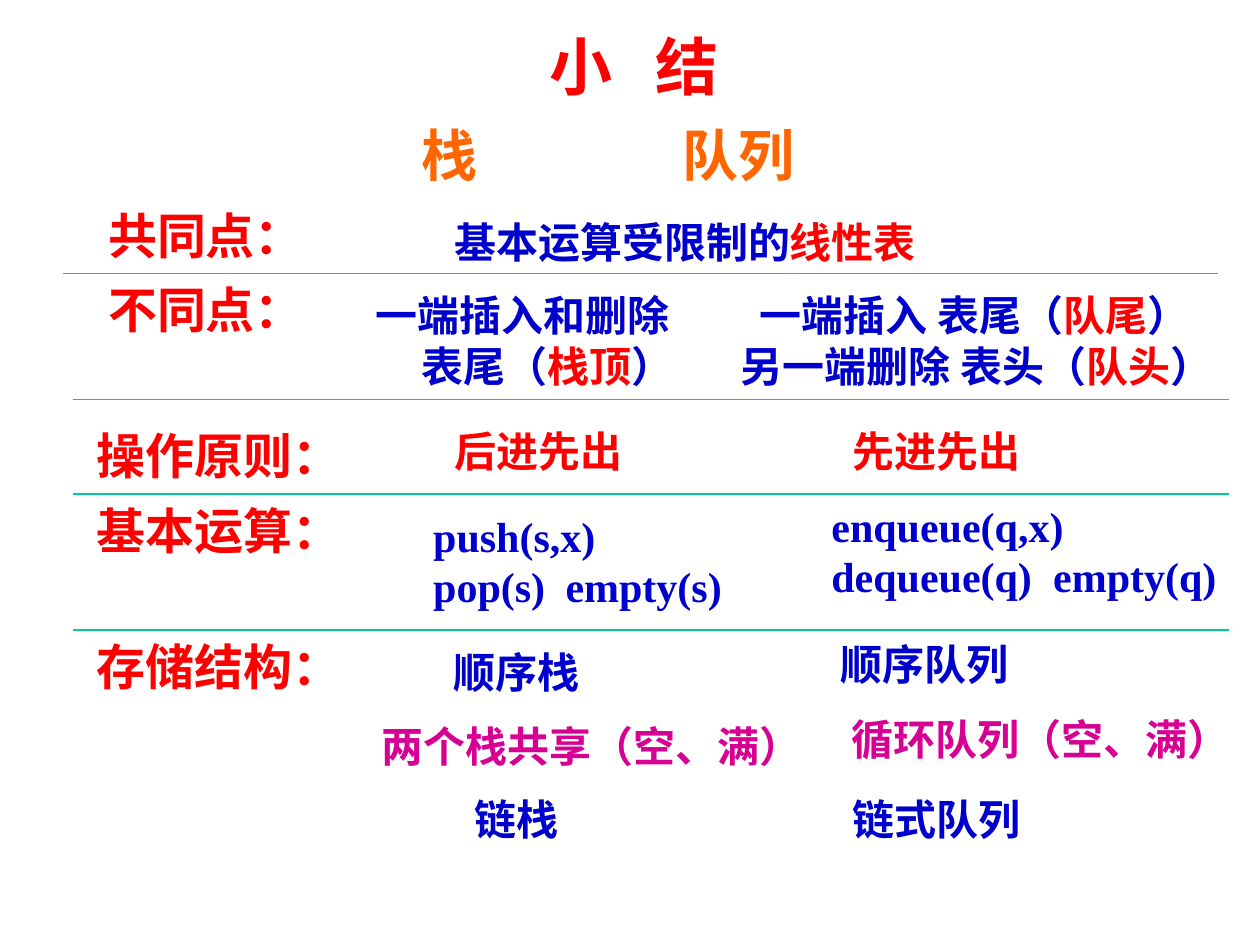
"""Build a summary slide comparing stacks and queues."""
from lxml.etree import SubElement
from pptx import Presentation
from pptx.dml.color import RGBColor
from pptx.enum.shapes import MSO_CONNECTOR
from pptx.enum.text import MSO_ANCHOR, MSO_AUTO_SIZE, PP_ALIGN
from pptx.oxml.ns import qn
from pptx.util import Inches, Pt

RED = RGBColor(0xFF, 0x00, 0x00)
ORANGE = RGBColor(0xFF, 0x66, 0x00)
BLUE = RGBColor(0x00, 0x00, 0xCC)
MAGENTA = RGBColor(0xD6, 0x00, 0x93)
GREEN = RGBColor(0x00, 0xCC, 0x99)
SERIF = "Times New Roman"
SANS = "Noto Sans CJK SC"


def write(paragraph, *parts, size=24, color=BLUE, font=SERIF, align=PP_ALIGN.LEFT, indent=0, tab=0):
    """Fill a paragraph with text parts; a part may be a (text, color) pair."""
    paragraph.alignment = align
    properties = paragraph._p.get_or_add_pPr()
    if indent:
        properties.set("marL", str(Inches(indent)))
        properties.set("indent", "0")
    if tab:
        tabs = SubElement(properties, qn("a:tabLst"))
        SubElement(tabs, qn("a:tab"), pos=str(Inches(tab)), algn="l")
    for part in parts:
        text, shade = part if isinstance(part, tuple) else (part, color)
        span = paragraph.add_run()
        span.text = text
        span.font.size = Pt(size)
        span.font.bold = True
        span.font.name = font
        span.font.color.rgb = shade
        SubElement(span._r.get_or_add_rPr(), qn("a:ea"), typeface=SANS)


def add_box(left, top, width, height, *parts, **style):
    """Add a text box and return its text frame."""
    box = page.shapes.add_textbox(Inches(left), Inches(top), Inches(width), Inches(height))
    frame = box.text_frame
    frame.word_wrap = False
    frame.auto_size = MSO_AUTO_SIZE.SHAPE_TO_FIT_TEXT
    write(frame.paragraphs[0], *parts, **style)
    return frame


deck = Presentation()
deck.slide_width, deck.slide_height = Inches(10), Inches(7.5)
page = deck.slides.add_slide(deck.slide_layouts[5])

title = page.shapes.title
title.left, title.top, title.width, title.height = Inches(4.26), Inches(0.17), Inches(1.95), Inches(0.7)
title.text_frame.word_wrap = False
title.text_frame.auto_size = MSO_AUTO_SIZE.SHAPE_TO_FIT_TEXT
title.text_frame.vertical_anchor = MSO_ANCHOR.TOP
write(title.text_frame.paragraphs[0], "小\t结", size=36, color=RED, font=SANS, tab=0.84)

for heading, left, width in [("栈", 3.25, 0.66), ("队列", 5.32, 1.11)]:
    add_box(left, 0.91, width, 0.64, heading, size=32, color=ORANGE, font=SANS)

row_labels = [
    ("共同点：", 0.76, 1.58, 1.77),
    ("不同点：", 0.76, 2.17, 1.77),
    ("操作原则：", 0.67, 3.33, 2.16),
    ("基本运算：", 0.67, 3.92, 2.16),
    ("存储结构：", 0.67, 5, 2.16),
]
for label, left, top, width in row_labels:
    add_box(left, top, width, 0.57, label, size=28, color=RED)

entries = [
    ("基本运算受限制的", 3.51, 1.67, 2.9, BLUE),
    ("线性表", 6.17, 1.67, 1.22, RED),
    ("后进先出", 3.51, 3.33, 1.55, RED),
    ("先进先出", 6.67, 3.33, 1.55, RED),
    ("顺序栈", 3.5, 5.08, 1.22, BLUE),
    ("顺序队列", 6.57, 5.02, 1.55, BLUE),
    ("两个栈共享（空、满）", 2.93, 5.67, 3.55, MAGENTA),
    ("循环队列（空、满）", 6.66, 5.61, 3.22, MAGENTA),
    ("链栈", 3.67, 6.25, 0.9, BLUE),
    ("链式队列", 6.67, 6.25, 1.55, BLUE),
]
for entry, left, top, width, color in entries:
    add_box(left, top, width, 0.5, entry, color=color)

stack_ends = add_box(2.63, 2.25, 3.03, 0.9, "一端插入和删除", align=PP_ALIGN.CENTER)
write(stack_ends.add_paragraph(), "表尾（", ("栈顶", RED), "）", align=PP_ALIGN.CENTER, indent=0.4)

queue_ends = add_box(5.78, 2.25, 4.1, 0.9, "一端插入 表尾（", ("队尾", RED), "）", font=SANS, indent=0.15)
write(queue_ends.add_paragraph(), "另一端删除 表头（", ("队头", RED), "）", font=SANS)

stack_calls = add_box(3.34, 4, 2.53, 0.9, "push(s,x)")
write(stack_calls.add_paragraph(), "pop(s)\tempty(s)", tab=1.05)

queue_calls = add_box(6.5, 3.92, 3.32, 0.9, "enqueue(q,x)")
write(queue_calls.add_paragraph(), "dequeue(q)\tempty(q)", tab=1.76)

for left, top in [(0.5, 2.17), (0.58, 3.17), (0.58, 3.92), (0.58, 5)]:
    divider = page.shapes.add_connector(
        MSO_CONNECTOR.STRAIGHT, Inches(left), Inches(top), Inches(left + 9.17), Inches(top)
    )
    divider.line.color.rgb = GREEN
    divider.line.width = Pt(0.75)
    SubElement(divider._element.spPr, qn("a:effectLst"))

deck.save("out.pptx")
